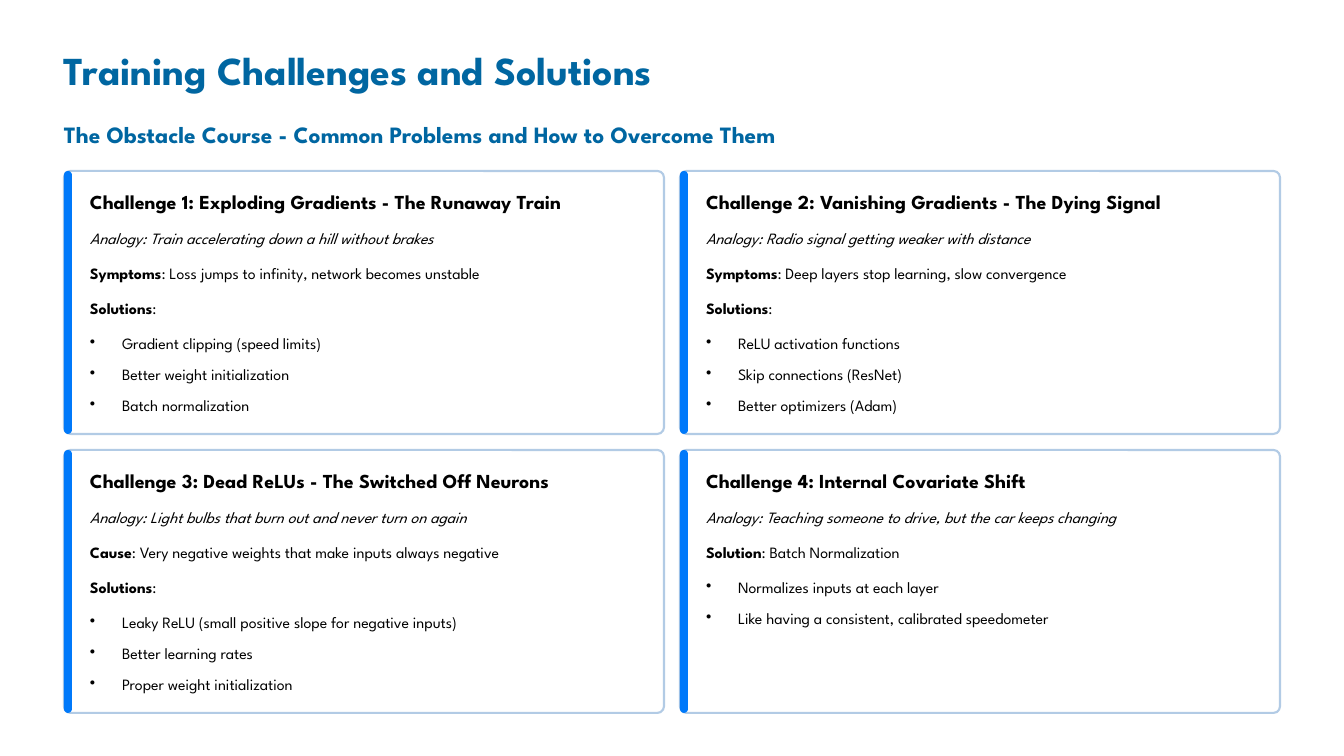
import pptx
import pptx.dml.color
import pptx.enum.shapes
import pptx.enum.text
import pptx.oxml
import pptx.oxml.ns
import pptx.util

# Content
TITLE = "Training Challenges and Solutions"
SUBTITLE = "The Obstacle Course - Common Problems and How to Overcome Them"
CHALLENGES = [
    dict(
        heading="Challenge 1: Exploding Gradients - The Runaway Train",
        analogy="Analogy: Train accelerating down a hill without brakes",
        facts=[("Symptoms", ": Loss jumps to infinity, network becomes unstable"),
               ("Solutions", ":")],
        solutions=["Gradient clipping (speed limits)",
                   "Better weight initialization",
                   "Batch normalization"],
    ),
    dict(
        heading="Challenge 2: Vanishing Gradients - The Dying Signal",
        analogy="Analogy: Radio signal getting weaker with distance",
        facts=[("Symptoms", ": Deep layers stop learning, slow convergence"),
               ("Solutions", ":")],
        solutions=["ReLU activation functions",
                   "Skip connections (ResNet)",
                   "Better optimizers (Adam)"],
    ),
    dict(
        heading="Challenge 3: Dead ReLUs - The Switched Off Neurons",
        analogy="Analogy: Light bulbs that burn out and never turn on again",
        facts=[("Cause", ": Very negative weights that make inputs always negative"),
               ("Solutions", ":")],
        solutions=["Leaky ReLU (small positive slope for negative inputs)",
                   "Better learning rates",
                   "Proper weight initialization"],
    ),
    dict(
        heading="Challenge 4: Internal Covariate Shift",
        analogy="Analogy: Teaching someone to drive, but the car keeps changing",
        facts=[("Solution", ": Batch Normalization")],
        solutions=["Normalizes inputs at each layer",
                   "Like having a consistent, calibrated speedometer"],
    ),
]

# Theme: type styles are (size, line spacing) in points
THEME = dict(
    font="League Spartan",
    title=(34, 42.5), subtitle=(20, 25.5), heading=(17, 21), body=(13.5, 21.5),
    blue="0066A1", ink="000000", paper="FFFFFF", border="B2CBE5", accent="0079FA",
)

# Layout in px, 84 to the inch
PX = 914400 // 84
LEFT, CARDS_TOP = 64, 171
CARD_W, CARD_H, GAP = 600, 263, 16
BAR_W, PAD_X = 8, 26
HEADING_DY, BODY_DY = 18, 52
TEXT_W, TEXT_H = 556, 25
LINE_STEP, SOLUTION_STEP, BULLET_INDENT = 35, 31, 32

deck = pptx.Presentation()
deck.slide_width, deck.slide_height = 1344 * PX, 756 * PX
slide = deck.slides.add_slide(deck.slide_layouts[6])


def rgb(name):
    return pptx.dml.color.RGBColor.from_string(THEME[name])


def add_text(text, x, y, width=TEXT_W, height=TEXT_H, style="body", color="ink",
             bold=False, italic=False, label="", bullet=False):
    """Place one line of text, with an optional bold label in front."""
    box = slide.shapes.add_textbox(x * PX, y * PX, width * PX, height * PX)
    frame = box.text_frame
    frame.word_wrap = True
    frame.margin_left = frame.margin_right = frame.margin_top = frame.margin_bottom = 0
    line = frame.paragraphs[0]
    line.alignment = pptx.enum.text.PP_ALIGN.LEFT
    size, spacing = THEME[style]
    line.line_spacing = pptx.util.Pt(spacing)
    if bullet:
        props = line._p.get_or_add_pPr()
        props.set("marL", str(BULLET_INDENT * PX))
        props.set("indent", str(-BULLET_INDENT * PX))
        props.append(pptx.oxml.parse_xml(
            f'<a:buChar {pptx.oxml.ns.nsdecls("a")} char="•"/>'))
    for words, is_bold in ((label, True), (text, bold)):
        if words:
            run = line.add_run()
            run.text = words
            run.font.name = THEME["font"]
            run.font.size = pptx.util.Pt(size)
            run.font.bold, run.font.italic = is_bold, italic
            run.font.color.rgb = rgb(color)


def add_panel(x, y, width, fill, rounding, border=None):
    panel = slide.shapes.add_shape(
        pptx.enum.shapes.MSO_SHAPE.ROUNDED_RECTANGLE,
        x * PX, y * PX, width * PX, CARD_H * PX)
    panel.adjustments[0] = rounding
    panel.shadow.inherit = False
    panel.fill.solid()
    panel.fill.fore_color.rgb = rgb(fill)
    if border:
        panel.line.color.rgb = rgb(border)
        panel.line.width = pptx.util.Pt(1.8)
    else:
        panel.line.fill.background()


def add_card(challenge, x, y):
    add_panel(x, y, CARD_W, "paper", 0.025, border="border")
    add_panel(x, y, BAR_W, "accent", 0.5)
    text_x = x + PAD_X
    add_text(challenge["heading"], text_x, y + HEADING_DY, style="heading", bold=True)
    line_y = y + BODY_DY
    add_text(challenge["analogy"], text_x, line_y, italic=True)
    for label, fact in challenge["facts"]:
        line_y += LINE_STEP
        add_text(fact, text_x, line_y, label=label)
    line_y += LINE_STEP
    for index, solution in enumerate(challenge["solutions"]):
        add_text(solution, text_x, line_y + index * SOLUTION_STEP, bullet=True)


# Background and headings
slide.background.fill.solid()
slide.background.fill.fore_color.rgb = rgb("paper")
add_text(TITLE, LEFT, 44, 633, 50, style="title", color="blue", bold=True)
add_text(SUBTITLE, LEFT, 118, 786, 29, style="subtitle", color="blue", bold=True)

# Two by two grid of challenges
for index, challenge in enumerate(CHALLENGES):
    row, column = divmod(index, 2)
    add_card(challenge, LEFT + column * (CARD_W + GAP), CARDS_TOP + row * (CARD_H + GAP))

deck.save("out.pptx")
